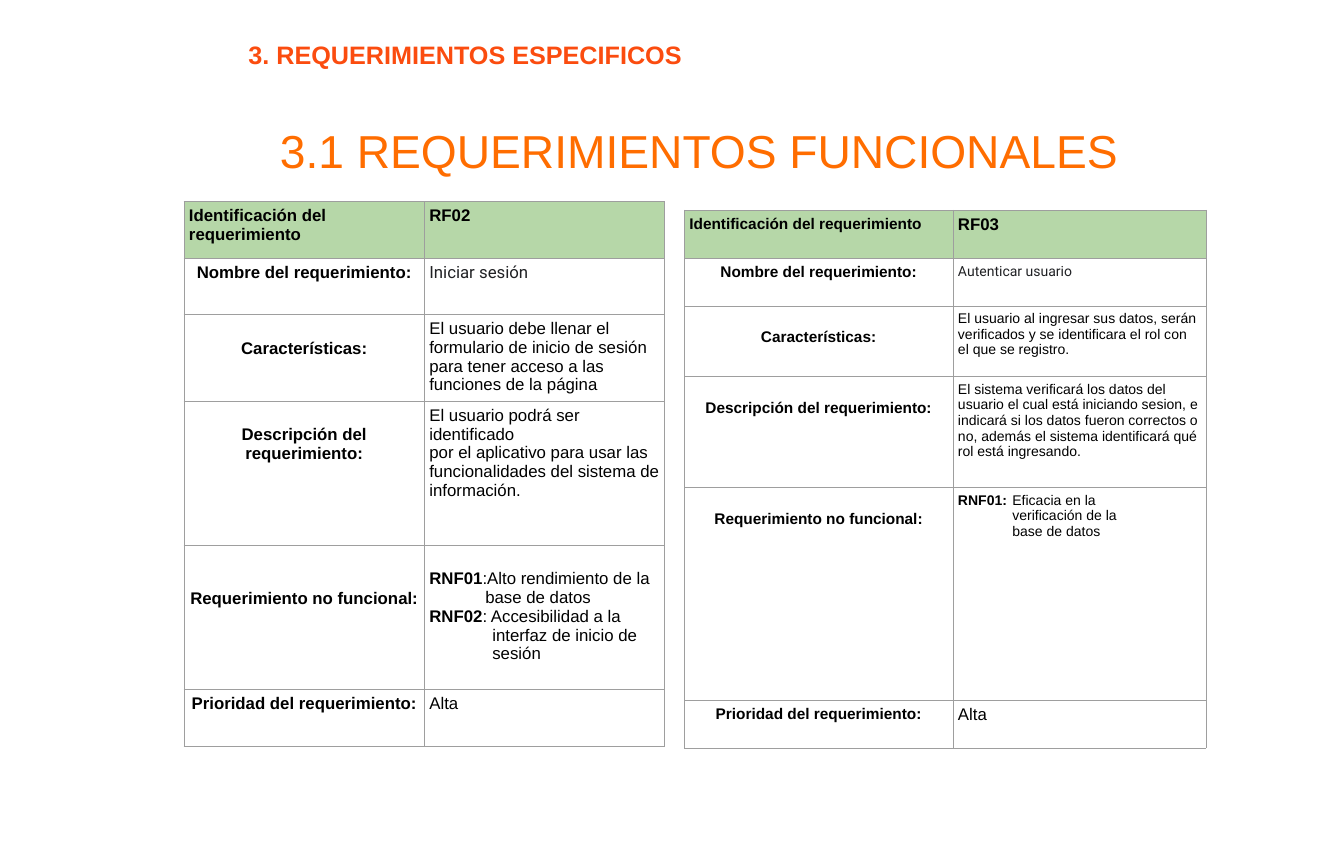
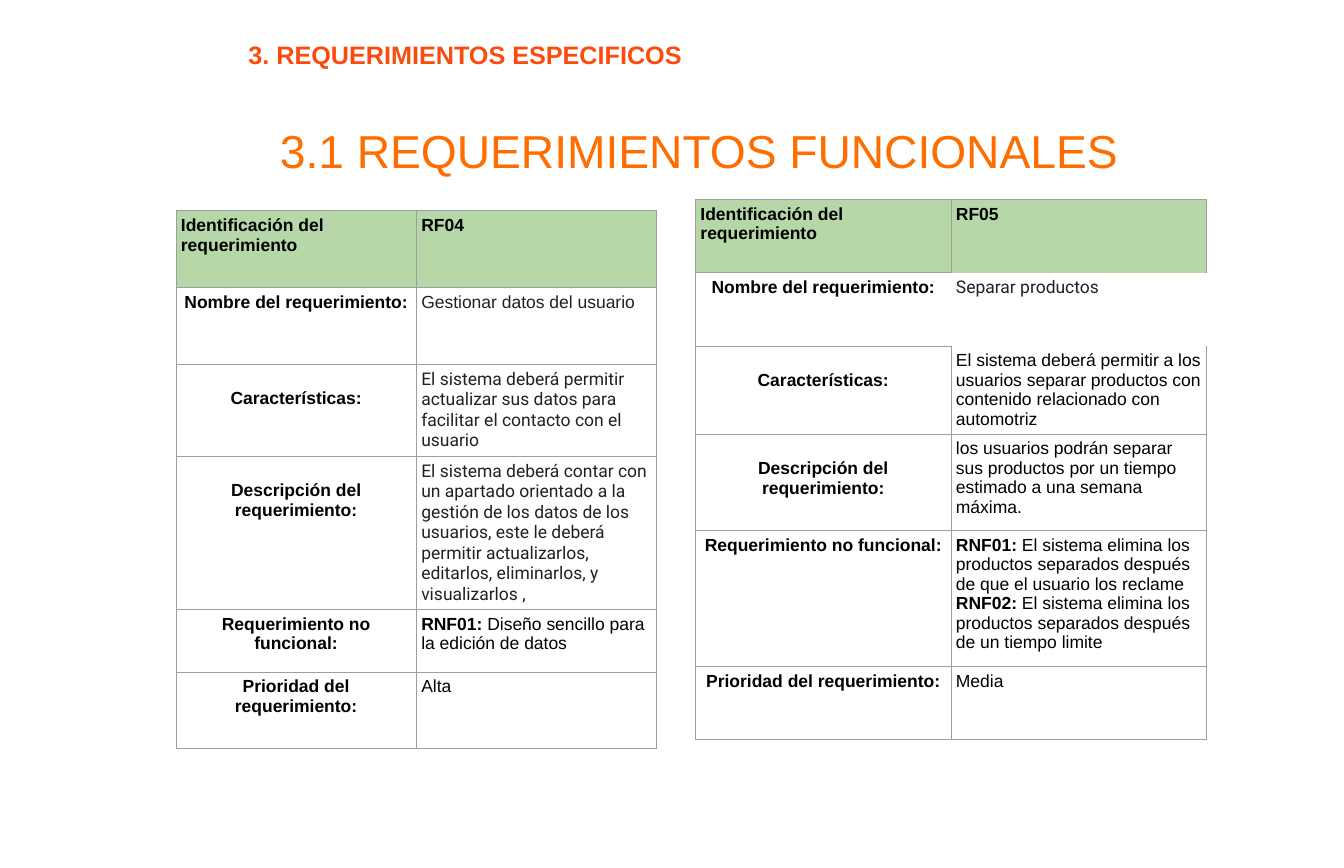
from dataclasses import dataclass

from lxml.etree import SubElement
from pptx import Presentation
from pptx.dml.color import RGBColor
from pptx.enum.text import MSO_ANCHOR, MSO_AUTO_SIZE, PP_ALIGN
from pptx.oxml.ns import qn
from pptx.util import Inches, Pt

COLORS = {
    "title": "FF6D00",
    "section": "FB4C0F",
    "header": "B6D7A8",
    "border": "9E9E9E",
    "ink": "000000",
    "gray": "202124",
}
SECTION = "3. REQUERIMIENTOS ESPECIFICOS"
TITLE = "3.1 REQUERIMIENTOS FUNCIONALES"
LABELS = [
    "Identificación del requerimiento",
    "Nombre del requerimiento:",
    "Características:",
    "Descripción del requerimiento:",
    "Requerimiento no funcional:",
    "Prioridad del requerimiento:",
]
CELL_MARGIN = 0.1
LINE_HEIGHT = 1.15
BORDER_WIDTH = Pt(0.75)
# Border tag -> row and column step to the neighbouring cell
SIDES = {"a:lnL": (0, -1), "a:lnR": (0, 1), "a:lnT": (-1, 0), "a:lnB": (1, 0)}


@dataclass
class Value:
    """Right-hand cell; each paragraph is a (bold term, plain text) pair."""
    paragraphs: list
    font: str = "Arial"
    color: str = "ink"
    size: int = 0
    lead: int = 0
    hanging: tuple = ()


@dataclass
class Requirement:
    """Lead counts the lines left free above each label."""
    left: float
    top: float
    columns: tuple
    rows: tuple
    size: int
    lead: tuple
    values: list
    open_cell: tuple = ()


def plain(*lines, **style):
    return Value([("", line) for line in lines], **style)


def term(*pairs, **style):
    return Value(list(pairs), **style)


RF02 = Requirement(
    3.65, 4, (4.77, 4.77), (1.12, 1.12, 1.72, 2.86, 2.86, 1.12), 24, (0, 0, 1, 1, 2, 0),
    [
        term(("RF02", "")),
        plain("Iniciar sesión", font="Roboto", color="gray"),
        plain("El usuario debe llenar el", "formulario de inicio de sesión",
              "para tener acceso a las funciones de la página"),
        plain("El usuario podrá ser identificado", "por el aplicativo para usar las",
              "funcionalidades del sistema de", "información."),
        term(("RNF01", ":Alto rendimiento de la\nbase de datos"),
             ("RNF02", ": Accesibilidad a la\ninterfaz de inicio de\nsesión"),
             lead=1, hanging=(1.11, 1.25)),
        plain("Alta"),
    ])
RF03 = Requirement(
    13.58, 4.17, (5.33, 5.02), (0.95, 0.95, 1.4, 2.2, 4.22, 0.95), 22, (0, 0, 1, 1, 1, 0),
    [
        term(("RF03", ""), size=24),
        plain("Autenticar usuario", font="Roboto", color="gray", size=20),
        plain("El usuario al ingresar sus datos, serán verificados y se identificara "
              "el rol con el que se registro.", size=20),
        plain("El sistema verificará los datos del usuario el cual está iniciando sesion, "
              "e indicará si los datos fueron correctos o no, además el sistema "
              "identificará qué rol está ingresando.", size=20),
        term(("RNF01:", "\tEficacia en la\nverificación de la\nbase de datos"),
             size=20, hanging=(1.08,)),
        plain("Alta", size=24),
    ])
RF04 = Requirement(
    3.49, 4.18, (4.77, 4.77), (1.52, 1.52, 1.79, 2.47, 1.24, 1.52), 25, (0, 0, 1, 1, 0, 0),
    [
        term(("RF04", "")),
        plain("Gestionar datos del usuario", color="gray"),
        plain("El sistema deberá permitir actualizar sus datos para facilitar "
              "el contacto con el usuario", font="Roboto", color="gray"),
        plain("El sistema deberá contar con un apartado orientado a la gestión de los datos "
              "de los usuarios, este le deberá permitir actualizarlos, editarlos, "
              "eliminarlos, y visualizarlos ,", font="Roboto", color="gray"),
        term(("RNF01: ", "Diseño sencillo para la edición de datos")),
        plain("Alta"),
    ])
RF05 = Requirement(
    13.8, 3.96, (5.07, 5.07), (1.45, 1.45, 1.71, 1.92, 2.69, 1.45), 25, (0, 0, 1, 1, 0, 0),
    [
        term(("RF05", "")),
        plain("Separar productos", font="Roboto", color="gray"),
        plain("El sistema deberá permitir a los usuarios separar productos con "
              "contenido relacionado con automotriz"),
        plain("los usuarios podrán separar sus productos por un tiempo estimado "
              "a una semana máxima."),
        term(("RNF01: ", "El sistema elimina los productos separados después "
              "de que el usuario los reclame"),
             ("RNF02: ", "El sistema elimina los productos separados después "
              "de un tiempo limite")),
        plain("Media"),
    ],
    open_cell=(1, 1))


def add_run(paragraph, text, size, color, font="Arial", bold=False):
    """Add the text, with a line break at each newline."""
    for index, line in enumerate(text.split("\n")):
        if index:
            paragraph.add_line_break()
        run = paragraph.add_run()
        run.text = line
        run.font.name = font
        run.font.size = Pt(size)
        run.font.bold = bold
        run.font.color.rgb = RGBColor.from_string(COLORS[color])


def fill_heading(shape, box, text, size, color, align, bold=False):
    shape.left, shape.top, shape.width, shape.height = map(Inches, box)
    frame = shape.text_frame
    frame.word_wrap = True
    frame.auto_size = MSO_AUTO_SIZE.NONE
    frame.vertical_anchor = MSO_ANCHOR.MIDDLE
    frame.margin_left = frame.margin_right = Inches(0.08)
    frame.margin_top = frame.margin_bottom = Inches(0.08)
    paragraph = frame.paragraphs[0]
    paragraph.alignment = align
    add_run(paragraph, text, size, color, bold=bold)


def add_headings(slide):
    fill_heading(slide.shapes.title, (3.82, 2.35, 20.11, 1.27),
                 TITLE, 66, "title", PP_ALIGN.CENTER)
    box = (4.85, 0.69, 9.15, 0.76)
    fill_heading(slide.shapes.add_textbox(*map(Inches, box)), box,
                 SECTION, 36, "section", PP_ALIGN.LEFT, bold=True)


def format_cell(cell, position, open_cell, size, lead):
    """Set borders, fill and margins; no border touches the open cell."""
    row, column = position
    properties = cell._tc.get_or_add_tcPr()
    for tag, (down, across) in SIDES.items():
        line = SubElement(properties, qn(tag), w=str(int(BORDER_WIDTH)))
        if open_cell in (position, (row + down, column + across)):
            SubElement(line, qn("a:noFill"))
        else:
            solid = SubElement(line, qn("a:solidFill"))
            SubElement(solid, qn("a:srgbClr"), val=COLORS["border"])
    if row == 0:
        cell.fill.solid()
        cell.fill.fore_color.rgb = RGBColor.from_string(COLORS["header"])
    else:
        cell.fill.background()
    cell.margin_left = cell.margin_right = cell.margin_bottom = Inches(CELL_MARGIN)
    cell.margin_top = Inches(CELL_MARGIN + lead * size * LINE_HEIGHT / 72)


def fill_value(frame, value, size):
    for index, (name, text) in enumerate(value.paragraphs):
        paragraph = frame.paragraphs[0] if index == 0 else frame.add_paragraph()
        if value.hanging:
            indent = Inches(value.hanging[index])
            properties = paragraph._p.get_or_add_pPr()
            properties.set("marL", str(indent))
            properties.set("indent", str(-indent))
        if name:
            add_run(paragraph, name, size, value.color, value.font, bold=True)
        if text:
            add_run(paragraph, text, size, value.color, value.font)


def add_requirement(slide, requirement):
    box = (requirement.left, requirement.top, sum(requirement.columns), sum(requirement.rows))
    table = slide.shapes.add_table(len(LABELS), 2, *map(Inches, box)).table
    table.first_row = table.horz_banding = False
    for column, width in zip(table.columns, requirement.columns):
        column.width = Inches(width)
    for row, height in zip(table.rows, requirement.rows):
        row.height = Inches(height)

    contents = zip(LABELS, requirement.lead, requirement.values)
    for row, (label, lead, value) in enumerate(contents):
        label_cell, value_cell = table.cell(row, 0), table.cell(row, 1)
        size = value.size or requirement.size
        format_cell(label_cell, (row, 0), requirement.open_cell, requirement.size, lead)
        format_cell(value_cell, (row, 1), requirement.open_cell, size, value.lead)
        paragraph = label_cell.text_frame.paragraphs[0]
        paragraph.alignment = PP_ALIGN.CENTER if row else PP_ALIGN.LEFT
        add_run(paragraph, label, requirement.size, "ink", bold=True)
        fill_value(value_cell.text_frame, value, size)


def main():
    deck = Presentation()
    deck.slide_width, deck.slide_height = Inches(26.67), Inches(17.22)
    title_only = deck.slide_layouts[5]
    for requirements in ((RF02, RF03), (RF04, RF05)):
        slide = deck.slides.add_slide(title_only)
        add_headings(slide)
        for requirement in requirements:
            add_requirement(slide, requirement)
    deck.save("out.pptx")


if __name__ == "__main__":
    main()
